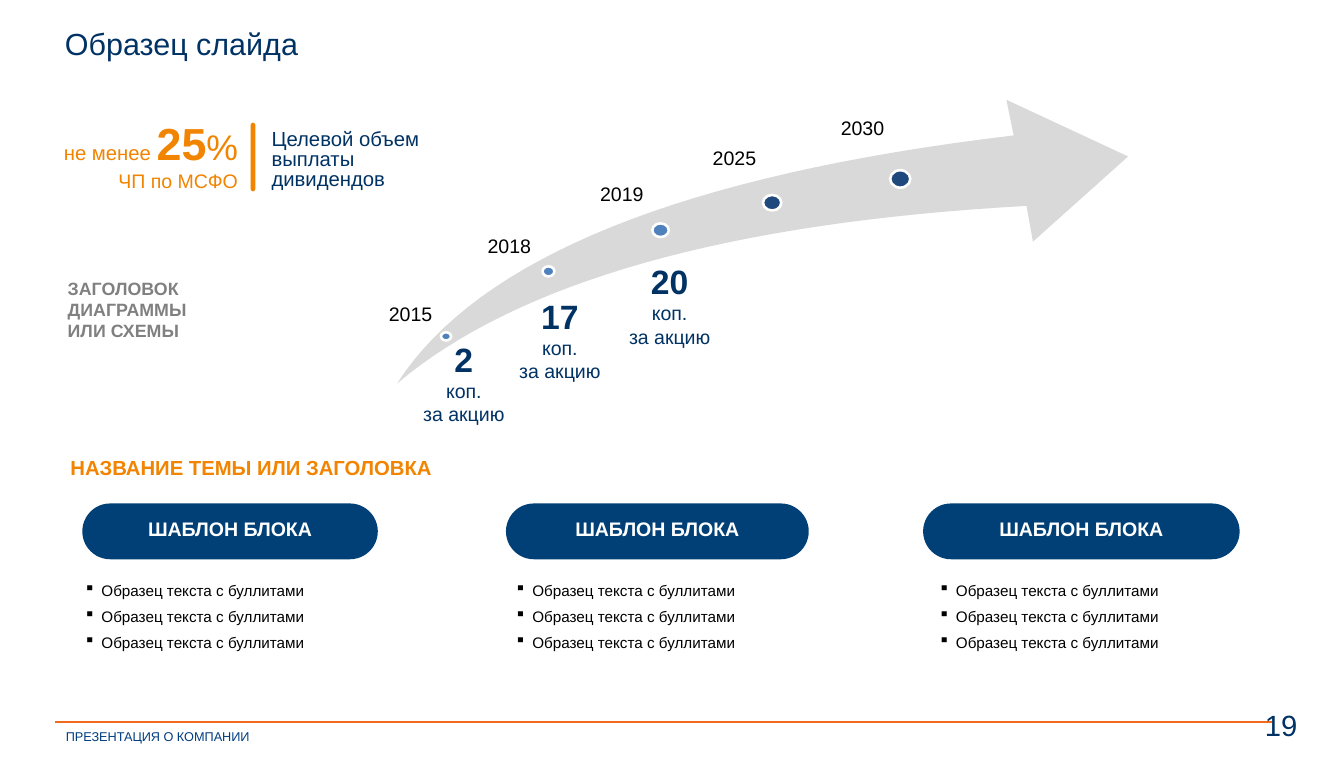
import collections
import dataclasses
import lxml.etree
import pptx
import pptx.dml.color
import pptx.enum.shapes
import pptx.enum.text
import pptx.oxml.ns
import pptx.util

Inches = pptx.util.Inches
Pt = pptx.util.Pt
ALIGN = pptx.enum.text.PP_ALIGN
ANCHOR = pptx.enum.text.MSO_ANCHOR
SHAPE = pptx.enum.shapes.MSO_SHAPE

Box = collections.namedtuple("Box", "left top width height")
Run = collections.namedtuple("Run", "text size color bold", defaults=[False])
Milestone = collections.namedtuple("Milestone", "year label dot dot_size color amount amount_at")


@dataclasses.dataclass(frozen=True)
class Theme:
    font: str = "Arial"
    navy: str = "003264"
    pill: str = "004076"
    footer: str = "003D80"
    orange: str = "F18400"
    rule: str = "F26A1B"
    gray: str = "808080"
    arrow: str = "D9D9D9"
    past: str = "4F81BD"
    future: str = "1F497D"
    white: str = "FFFFFF"
    black: str = "000000"
    title: float = 24
    page: float = 23
    heading: float = 16
    label: float = 15.4
    caption: float = 14
    body: float = 12
    small: float = 10
    amount: float = 26.5
    share: float = 35.3
    percent: float = 28


THEME = Theme()

MILESTONES = [
    Milestone("2015", (-0.09, 2.21), (0.48, 2.54), (0.11, 0.09), THEME.past, "2", (0.28, 2.6)),
    Milestone("2018", (0.99, 1.47), (1.59, 1.82), (0.13, 0.11), THEME.past, "17", (1.33, 2.13)),
    Milestone("2019", (2.22, 0.9), (2.79, 1.35), (0.18, 0.15), THEME.past, "20", (2.53, 1.75)),
    Milestone("2025", (3.45, 0.5), (4, 1.04), (0.2, 0.17), THEME.future, None, None),
    Milestone("2030", (4.85, 0.18), (5.39, 0.77), (0.22, 0.19), THEME.future, None, None),
]


def rgb(color):
    return pptx.dml.color.RGBColor.from_string(color)


def inside(box, offset, size):
    return Box(box.left + offset[0], box.top + offset[1], *size)


def write(text_frame, lines, align=ALIGN.LEFT, spacing=None):
    """Fill a text frame with one paragraph per list of runs."""
    for index, line in enumerate(lines):
        paragraph = text_frame.paragraphs[0] if index == 0 else text_frame.add_paragraph()
        paragraph.alignment = align
        if spacing:
            paragraph.line_spacing = spacing
        for part in line:
            run = paragraph.add_run()
            run.text = part.text
            run.font.name = THEME.font
            run.font.size = Pt(part.size)
            run.font.bold = part.bold
            run.font.color.rgb = rgb(part.color)


def add_text(slide, box, lines, align=ALIGN.LEFT, anchor=ANCHOR.TOP, margins=(0.1, 0.05),
             wrap=True, spacing=None):
    text_frame = slide.shapes.add_textbox(*map(Inches, box)).text_frame
    text_frame.word_wrap = wrap
    text_frame.auto_size = pptx.enum.text.MSO_AUTO_SIZE.SHAPE_TO_FIT_TEXT
    text_frame.vertical_anchor = anchor
    text_frame.margin_left = text_frame.margin_right = Inches(margins[0])
    text_frame.margin_top = text_frame.margin_bottom = Inches(margins[1])
    write(text_frame, lines, align, spacing)
    return text_frame


def paint(shape, fill, line=None):
    shape.shadow.inherit = False
    shape.fill.solid()
    shape.fill.fore_color.rgb = rgb(fill)
    if line:
        shape.line.color.rgb = rgb(line)
        shape.line.width = Pt(2)
    else:
        shape.line.fill.background()


def add_shape(slide, kind, box, fill, line=None):
    shape = slide.shapes.add_shape(kind, *map(Inches, box))
    paint(shape, fill, line)
    return shape


def curve(start, control, end, steps=32):
    """Points of a quadratic curve, both ends included."""
    for step in range(steps + 1):
        t = step / steps
        yield tuple((1 - t) ** 2 * a + 2 * t * (1 - t) * b + t ** 2 * c
                    for a, b, c in zip(start, control, end))


def add_growth_arrow(slide, box):
    # Curved arrow: upper edge, head, lower edge
    tail = (0, 3.1)
    outline = [*curve(tail, (1.33, 1.03), (6.74, 0.39)),
               (6.66, 0), (7.99, 0.62), (6.95, 1.55),
               *curve((6.88, 1.16), (1.98, 1.43), tail)]
    points = [(Inches(box.left + x), Inches(box.top + y)) for x, y in outline]
    builder = slide.shapes.build_freeform(*points[0])
    builder.add_line_segments(points[1:], close=True)
    paint(builder.convert_to_shape(), THEME.arrow)

    # Years, dots and payouts along the arrow
    for item in MILESTONES:
        add_shape(slide, SHAPE.OVAL, inside(box, item.dot, item.dot_size), item.color, THEME.white)
        add_text(slide, inside(box, item.label, (0.48, 0.26)),
                 [[Run(item.year, THEME.label, THEME.black)]], margins=(0, 0), wrap=False)
        if item.amount:
            lines = [[Run(item.amount, THEME.amount, THEME.navy, True)],
                     [Run("коп.", THEME.label, THEME.navy)],
                     [Run("за акцию", THEME.label, THEME.navy)]]
            add_text(slide, inside(box, item.amount_at, (0.9, 0.97)), lines, ALIGN.CENTER,
                     ANCHOR.MIDDLE, (0, 0), wrap=False)


def add_target(slide, box):
    # Share of profit, divider bar, explanation
    add_text(slide, inside(box, (0, 0), (2.61, 0.95)),
             [[Run("не менее ", THEME.heading, THEME.orange),
               Run("25", THEME.share, THEME.orange, True),
               Run("%", THEME.percent, THEME.orange)],
              [Run("ЧП по МСФО", THEME.label, THEME.orange)]], ALIGN.RIGHT)
    bar = add_shape(slide, SHAPE.ROUND_2_SAME_RECTANGLE,
                    inside(box, (2.65, 0.13), (0.05, 0.75)), THEME.orange)
    bar.adjustments[0] = bar.adjustments[1] = 0.5
    add_text(slide, inside(box, (2.78, 0.17), (2.22, 0.75)),
             [[Run("Целевой объем выплаты дивидендов", THEME.heading, THEME.navy)]],
             anchor=ANCHOR.MIDDLE, spacing=0.8)


def add_block(slide, box, list_offset):
    # Rounded heading
    pill = add_shape(slide, SHAPE.ROUNDED_RECTANGLE, box, THEME.pill)
    pill.adjustments[0] = 0.5
    pill.text_frame.vertical_anchor = ANCHOR.MIDDLE
    write(pill.text_frame, [[Run("ШАБЛОН БЛОКА", THEME.label, THEME.white, True)]],
          ALIGN.CENTER, 0.8)

    # Bulleted list
    item = [Run("Образец текста с буллитами", THEME.body, THEME.black)]
    text_frame = add_text(slide, inside(box, (list_offset, 0.8), (3.31, 0.88)), [item] * 3)
    for paragraph in text_frame.paragraphs:
        properties = paragraph._p.get_or_add_pPr()
        properties.set("marL", str(Inches(0.19)))
        properties.set("indent", str(-Inches(0.19)))
        bullet = lxml.etree.SubElement(properties, pptx.oxml.ns.qn("a:buChar"))
        bullet.set("char", "▪")
        paragraph.space_after = Pt(6)


def add_footer(slide, box):
    line = slide.shapes.add_connector(
        pptx.enum.shapes.MSO_CONNECTOR.STRAIGHT, Inches(box.left), Inches(box.top),
        Inches(box.left + box.width), Inches(box.top))
    line.line.color.rgb = rgb(THEME.rule)
    line.line.width = Pt(1.5)
    lxml.etree.SubElement(line._element.spPr, pptx.oxml.ns.qn("a:effectLst"))
    add_text(slide, inside(box, (0, 0.01), (2.3, 0.29)),
             [[Run("ПРЕЗЕНТАЦИЯ О КОМПАНИИ", THEME.small, THEME.footer)]],
             margins=(0.12, 0.06), wrap=False)
    add_text(slide, inside(box, (11.21, -0.22), (2.49, 0.51)),
             [[Run("19", THEME.page, THEME.navy)]], ALIGN.RIGHT, margins=(0.12, 0.06))


def main():
    presentation = pptx.Presentation()
    presentation.slide_width = Inches(14.69)
    presentation.slide_height = Inches(8.27)
    slide = presentation.slides.add_slide(presentation.slide_layouts[6])

    # Title and headings
    add_text(slide, Box(0.6, 0.26, 12.59, 0.48),
             [[Run("Образец слайда", THEME.title, THEME.navy)]],
             anchor=ANCHOR.MIDDLE, margins=(0.11, 0.06), spacing=0.9)
    add_text(slide, Box(0.5, 2.91, 2.28, 0.95),
             [[Run(text, THEME.caption, THEME.gray, True)]
              for text in ("ЗАГОЛОВОК", "ДИАГРАММЫ", "ИЛИ СХЕМЫ")], margins=(0.24, 0.12))
    add_text(slide, Box(0.53, 4.85, 5.36, 0.51),
             [[Run("НАЗВАНИЕ ТЕМЫ ИЛИ ЗАГОЛОВКА", THEME.heading, THEME.orange, True)]],
             margins=(0.24, 0.12))

    # Regions
    add_growth_arrow(slide, Box(4.34, 1.09, 7.99, 3.1))
    add_target(slide, Box(0.09, 1.21, 5, 0.95))
    for left, width, list_offset in ((0.9, 3.23, -0.08), (5.53, 3.31, 0), (10.09, 3.46, 0.07)):
        add_block(slide, Box(left, 5.5, width, 0.61), list_offset)
    add_footer(slide, Box(0.6, 7.89, 13.3, 0.3))

    presentation.save("out.pptx")


if __name__ == "__main__":
    main()
